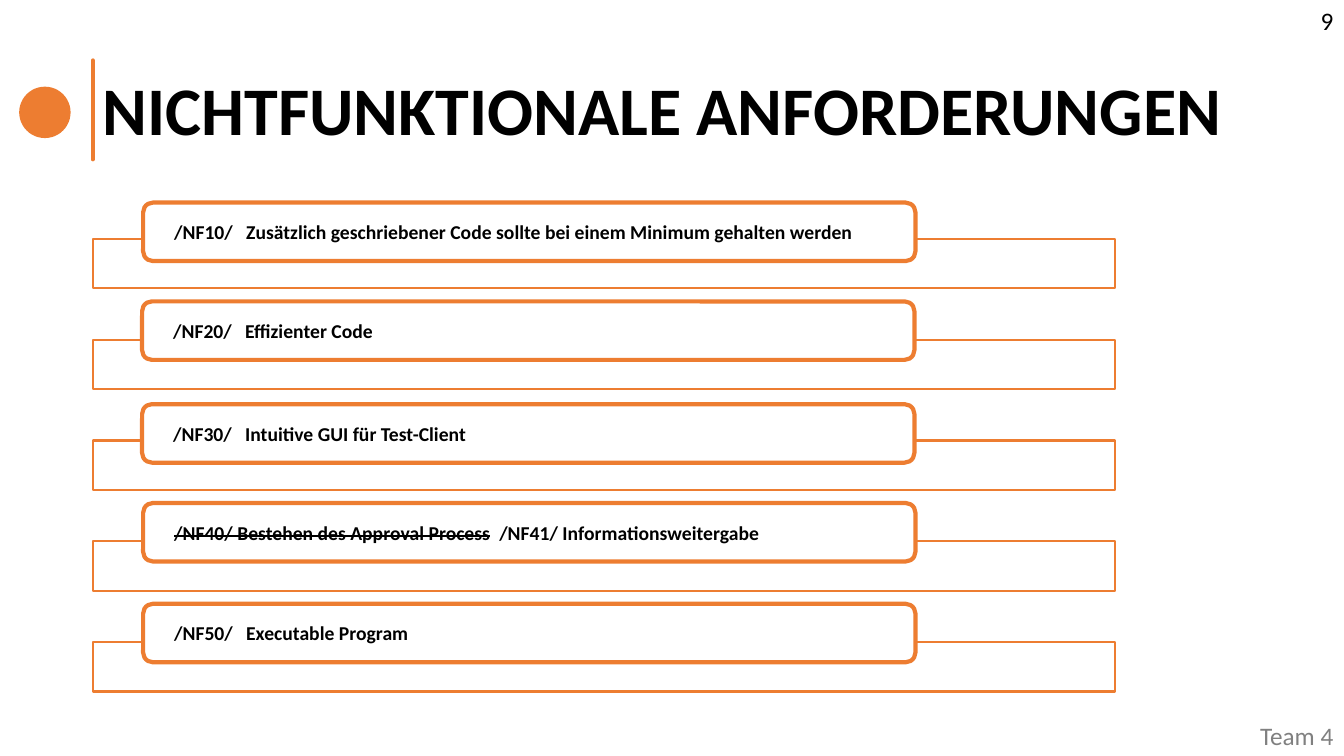
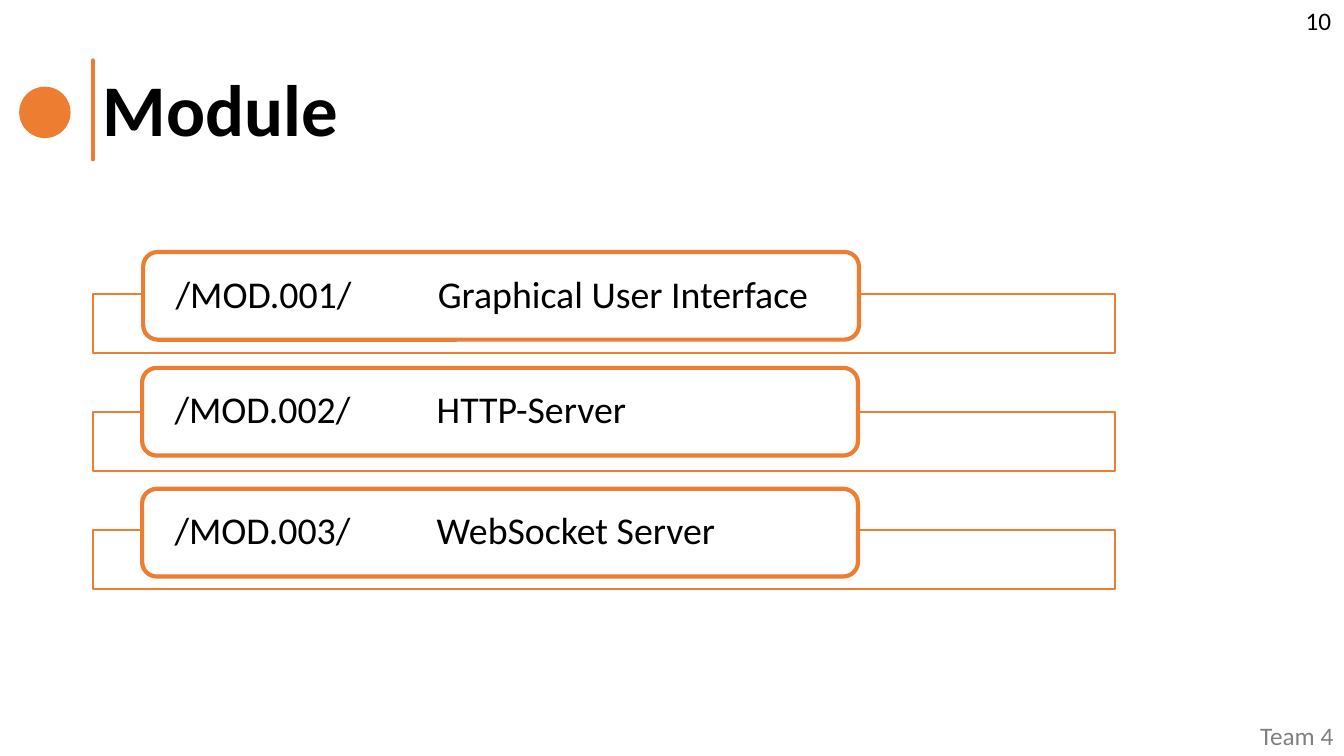
from dataclasses import dataclass

from lxml.etree import SubElement
from pptx import Presentation
from pptx.dml.color import RGBColor
from pptx.enum.shapes import MSO_CONNECTOR, MSO_SHAPE
from pptx.enum.text import MSO_ANCHOR, MSO_AUTO_SIZE, PP_ALIGN
from pptx.oxml.ns import qn
from pptx.util import Inches, Pt

FONT = "Calibri"
ORANGE, WHITE, BLACK, GRAY = "ED7D31", "FFFFFF", "000000", "808080"
LEFT = 0.92
TAB = 2.6


@dataclass
class Row:
    text: str
    left: float
    top: float
    struck: str = ""


@dataclass
class Look:
    """Sizes of the bars, the pills and their text on one slide."""
    top: float
    pitch: float
    bar: float
    width: float
    height: float
    size: float
    bold: bool
    spacing: float


@dataclass
class Page:
    title: str
    size: float
    number: str
    edge: float
    look: Look
    rows: list[Row]


PAGES = [
    Page("NICHTFUNKTIONALE ANFORDERUNGEN", 48.6, "9", 13,
         Look(2.37, 1, 0.49, 7.66, 0.58, 14, True, 1), [
             Row("/NF10/   Zusätzlich geschriebener Code sollte bei einem "
                 "Minimum gehalten werden", 1.42, 2.01),
             Row("/NF20/   Effizienter Code", 1.41, 2.99),
             Row("/NF30/   Intuitive GUI für Test-Client", 1.41, 4.01),
             Row("  /NF41/ Informationsweitergabe", 1.42, 4.99,
                 "/NF40/ Bestehen des Approval Process"),
             Row("/NF50/   Executable Program", 1.42, 5.99)]),
    Page("Module", 52, "10", 12.85,
         Look(2.92, 1.17, 0.58, 7.1, 0.87, 27, False, 0.9), [
             Row("/MOD.001/\tGraphical User Interface", 1.42, 2.5),
             Row("/MOD.002/\tHTTP-Server", 1.41, 3.65),
             Row("/MOD.003/\tWebSocket Server", 1.41, 4.85)]),
]


def color(code: str) -> RGBColor:
    return RGBColor.from_string(code)


def write(shape, text: str, size: float = 18, ink: str = BLACK,
          bold: bool = False, strike: bool = False, spacing: float = 1) -> None:
    """Add a run to the shape's first paragraph."""
    para = shape.text_frame.paragraphs[0]
    para.alignment = PP_ALIGN.LEFT
    para.line_spacing = spacing
    run = para.add_run()
    run.text = text
    font = run.font
    font.name, font.size, font.bold = FONT, Pt(size), bold
    font.color.rgb = color(ink)
    if strike:
        run._r.get_or_add_rPr().set("strike", "sngStrike")


def add_box(slide, left: float, top: float, width: float, height: float,
            wrap: bool = True):
    box = slide.shapes.add_textbox(
        Inches(left), Inches(top), Inches(width), Inches(height))
    box.text_frame.word_wrap = wrap
    return box


def add_form(slide, kind, left: float, top: float, width: float,
             height: float, fill: str, line: float = 0):
    form = slide.shapes.add_shape(
        kind, Inches(left), Inches(top), Inches(width), Inches(height))
    form.shadow.inherit = False
    form.fill.solid()
    form.fill.fore_color.rgb = color(fill)
    if line:
        form.line.color.rgb = color(ORANGE)
        form.line.width = Pt(line)
    else:
        form.line.fill.background()
    return form


def add_frame(slide, page: Page) -> None:
    """Draw the title, its marks, the footer and the page number."""
    title = add_box(slide, LEFT, 0.4, 11.5, 1.45)
    title.text_frame.vertical_anchor = MSO_ANCHOR.MIDDLE
    write(title, page.title, size=page.size, bold=True, spacing=0.9)

    team = add_box(slide, 12.4, 7.1, 0.94, 0.4, wrap=False)
    team.text_frame.auto_size = MSO_AUTO_SIZE.SHAPE_TO_FIT_TEXT
    write(team, "Team 4", ink=GRAY)

    rule = slide.shapes.add_connector(
        MSO_CONNECTOR.STRAIGHT,
        Inches(LEFT), Inches(1.58), Inches(LEFT), Inches(0.6))
    rule.line.color.rgb = color(ORANGE)
    rule.line.width = Pt(3)
    rule.line._get_or_add_ln().set("cap", "rnd")
    SubElement(rule._element.spPr, qn("a:effectLst"))

    number = add_box(slide, page.edge, 0, 13.34 - page.edge, 0.4)
    write(number, page.number)
    add_form(slide, MSO_SHAPE.OVAL, 0.19, 0.86, 0.51, 0.51, ORANGE)


def add_row(slide, row: Row, index: int, look: Look) -> None:
    bar = add_form(slide, MSO_SHAPE.RECTANGLE, LEFT,
                   look.top + index * look.pitch, 10.14, look.bar, WHITE, 1.5)
    tint = bar._element.spPr.find(qn("a:solidFill")).find(qn("a:srgbClr"))
    SubElement(tint, qn("a:alpha")).set("val", "90000")

    pill = add_form(slide, MSO_SHAPE.ROUNDED_RECTANGLE, row.left, row.top,
                    look.width, look.height, WHITE, 3)
    frame = pill.text_frame
    frame.word_wrap = True
    frame.vertical_anchor = MSO_ANCHOR.MIDDLE
    frame.margin_left = frame.margin_right = Inches(0.28)
    frame.margin_top = frame.margin_bottom = 0
    style = {"size": look.size, "bold": look.bold, "spacing": look.spacing}
    if row.struck:
        write(pill, row.struck, strike=True, **style)
    write(pill, row.text, **style)
    if "\t" in row.text:
        stops = SubElement(frame.paragraphs[0]._p.get_or_add_pPr(),
                           qn("a:tabLst"))
        stop = SubElement(stops, qn("a:tab"))
        stop.set("pos", str(Inches(TAB)))
        stop.set("algn", "l")


def main() -> None:
    deck = Presentation()
    deck.slide_width, deck.slide_height = Inches(13.33), Inches(7.5)
    for page in PAGES:
        slide = deck.slides.add_slide(deck.slide_layouts[6])
        add_frame(slide, page)
        for index, row in enumerate(page.rows):
            add_row(slide, row, index, page.look)
    deck.save("out.pptx")


if __name__ == "__main__":
    main()
